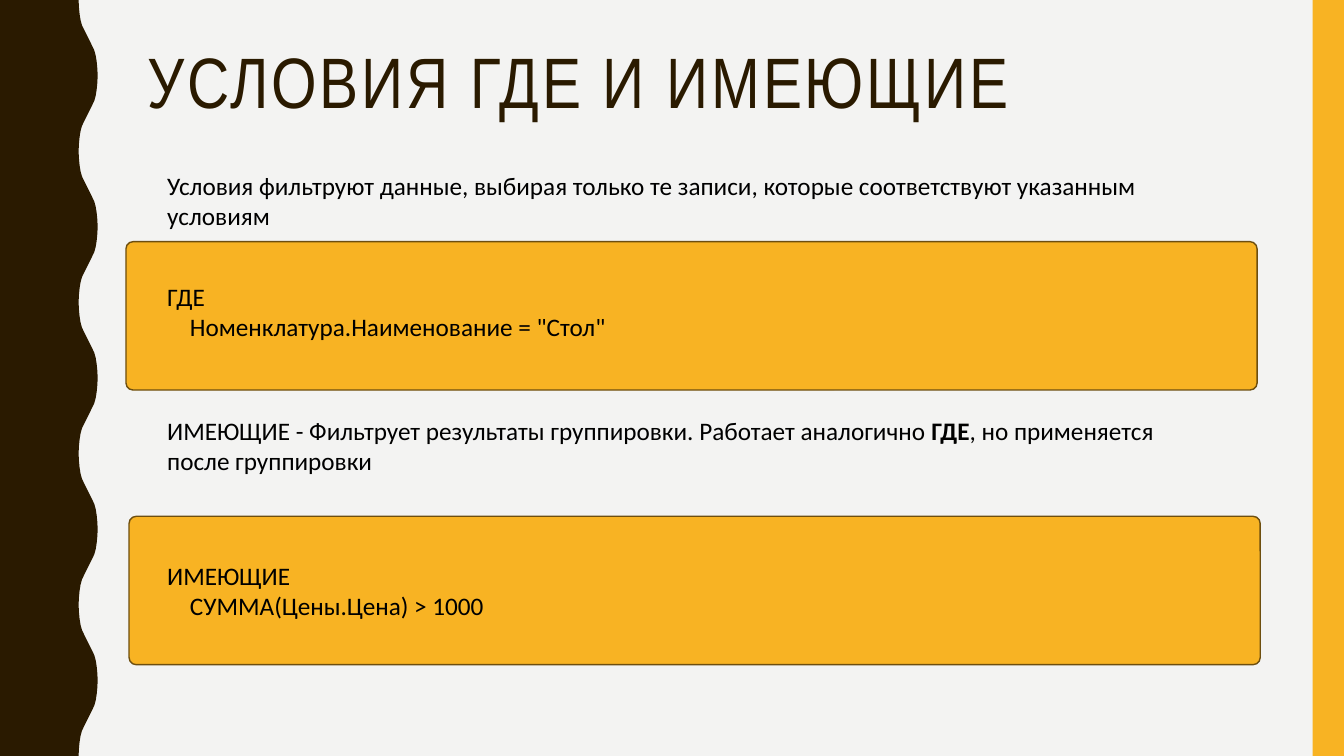
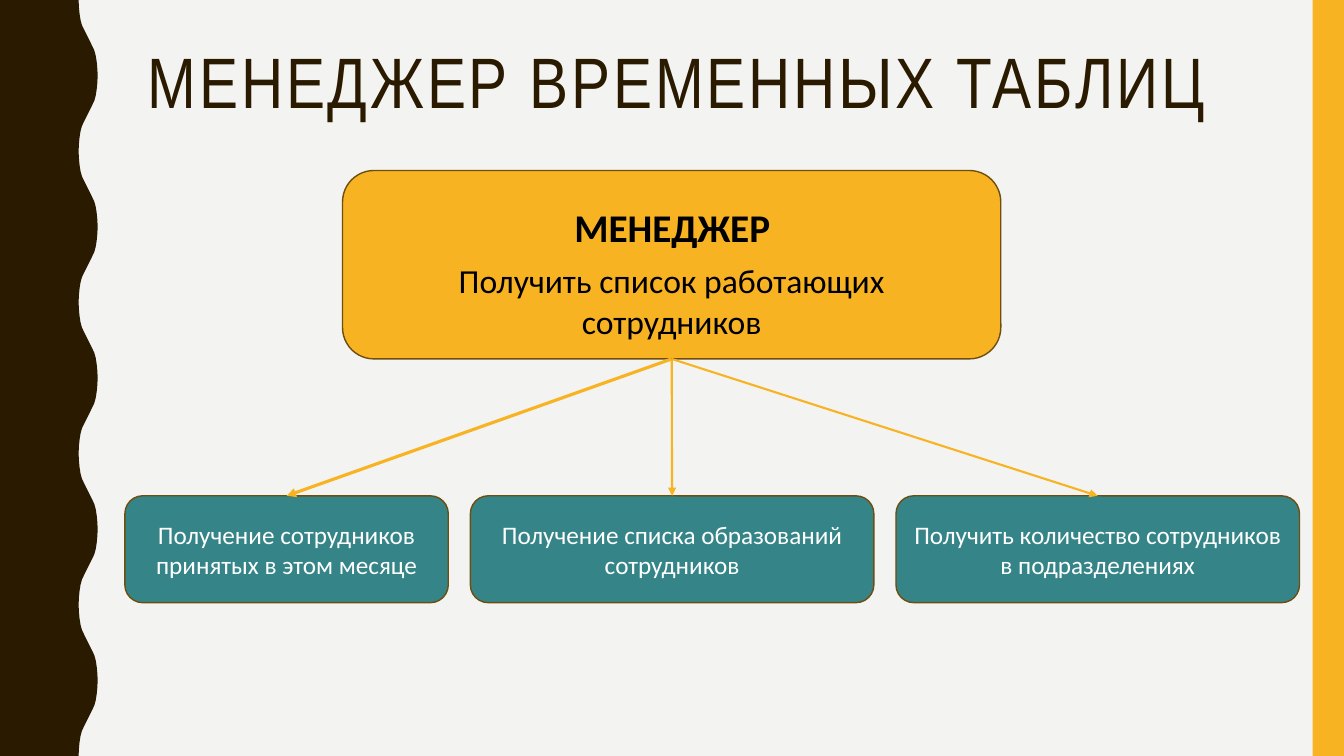
from pptx import Presentation
from pptx.dml.color import RGBColor
from pptx.enum.shapes import MSO_CONNECTOR, MSO_SHAPE
from pptx.enum.text import MSO_ANCHOR, PP_ALIGN
from pptx.oxml.ns import qn
from pptx.util import Pt
from lxml.etree import SubElement

WIDE, HIGH = 960, 540
DARK, GOLD, TEAL, EDGE = "2A1A00", "F8B323", "358588", "6D4E0F"
PAPER, BLACK, WHITE = "F3F3F2", "000000", "FFFFFF"
LEFT, MID = PP_ALIGN.LEFT, PP_ALIGN.CENTER


def paint(fmt, color):
    """Give a fill a solid colour."""
    fmt.solid()
    fmt.fore_color.rgb = RGBColor.from_string(color)


def text(shape, lines, size=18, color=BLACK, font="Calibri", bold=False,
         align=LEFT, anchor=MSO_ANCHOR.TOP, indent=0, space=0, lead=None):
    """Write lines; words between asterisks are bold, later lines indented."""
    frame = shape.text_frame
    frame.word_wrap = True
    frame.vertical_anchor = anchor
    for i, line in enumerate(lines):
        para = frame.add_paragraph() if i else frame.paragraphs[0]
        para.alignment = align
        if lead:
            para.line_spacing = lead
        if i and indent:
            para._p.get_or_add_pPr().set("marL", str(Pt(indent)))
        for j, part in enumerate(line.split("*")):
            run = para.add_run()
            run.text = part
            run.font.size = Pt(size)
            run.font.name = font
            run.font.bold = bold or j % 2 == 1
            paint(run.font.fill, color)
            if space:
                run._r.get_or_add_rPr().set("spc", str(space * 100))


def label(slide, box, lines, **style):
    text(slide.shapes.add_textbox(*map(Pt, box)), lines, **style)


def panel(slide, box, fill, edge=EDGE, kind=MSO_SHAPE.ROUNDED_RECTANGLE,
          bend=None):
    shape = slide.shapes.add_shape(kind, *map(Pt, box))
    shape.shadow.inherit = False
    paint(shape.fill, fill)
    if edge:
        paint(shape.line.fill, edge)
        shape.line.width = Pt(1)
    else:
        shape.line.fill.background()
    if bend is not None:
        shape.adjustments[0] = bend
    return shape


def arrow(slide, start, end, width):
    """Join the bottom of one panel to the top of another."""
    line = slide.shapes.add_connector(MSO_CONNECTOR.STRAIGHT, 0, 0, 0, 0)
    line.begin_connect(start, 2)
    line.end_connect(end, 0)
    paint(line.line.fill, GOLD)
    line.line.width = Pt(width)
    SubElement(line.line._get_or_add_ln(), qn("a:tailEnd"), type="triangle")
    SubElement(line._element.spPr, qn("a:effectLst"))


def wave(slide, base, swing, count):
    """Dark left band whose right edge has equal waves."""
    step = HIGH / count
    half = step / 2
    curve = [(0, 0), (0.2, 5), (0.7, 10), (1.4, 14.4), (2.4, 18),
             (3.8, 21), (5.3, 24)]
    rise = curve + [(swing / 2, half / 2)]
    rise += [(swing - x, half - y) for x, y in reversed(curve)]
    full = rise + [(x, step - y) for x, y in reversed(rise[:-1])]
    points = [(base + x, i * step + y) for i in range(count) for x, y in full]
    path = slide.shapes.build_freeform(0, 0, scale=1.0)
    path.add_line_segments([(Pt(x), Pt(y)) for x, y in points + [(0, HIGH)]])
    band = path.convert_to_shape()
    band.shadow.inherit = False
    paint(band.fill, DARK)
    band.line.fill.background()


def page(deck, title):
    """Add a slide with the shared bands and title."""
    slide = deck.slides.add_slide(deck.slide_layouts[6])
    wave(slide, 56.2, 13.6, 5)
    panel(slide, (937.6, 0, WIDE - 937.6, HIGH), GOLD, edge=None,
          kind=MSO_SHAPE.RECTANGLE)
    label(slide, (98.6, 30.2, 801.4, 117.4), [title], size=51, color=DARK,
          font="Arial Narrow", space=2, lead=0.9)
    return slide


def rule(slide, box, note, code, pad, rise, drop):
    """Code panel with its note above."""
    x, y, w, h = box
    panel(slide, box, GOLD, bend=0.048)
    label(slide, (x + pad, y - rise, 757.4, 51), [note])
    label(slide, (x + pad, y + drop, 757.4, 51), code, indent=16.3)


def tree(slide, box, tasks):
    """Manager panel on top, a row of tasks below."""
    x, y, w, h = box
    boss = panel(slide, (x + 155.5, y, 470.2, 134.6), GOLD)
    label(slide, (x + 288, y + 20.2, 206, 41), ["МЕНЕДЖЕР"], size=28,
          bold=True, align=MID)
    label(slide, (x + 178.6, y + 60.5, 424, 65.5),
          ["Получить список работающих сотрудников"], size=24, align=MID)
    tall, gap = 76.3, 15.8
    for words, wide, line in tasks:
        task = panel(slide, (x, y + h - tall, wide, tall), TEAL)
        text(task, [words], color=WHITE, align=MID, anchor=MSO_ANCHOR.MIDDLE)
        arrow(slide, boss, task, line)
        x += wide + gap


def main():
    deck = Presentation()
    deck.slide_width, deck.slide_height = Pt(WIDE), Pt(HIGH)
    paint(deck.slide_master.background.fill, PAPER)

    # Conditions
    slide = page(deck, "УСЛОВИЯ ГДЕ И ИМЕЮЩИЕ")
    rule(slide, (90, 172.6, 808, 106),
         "Условия фильтруют данные, выбирая только те записи, "
         "которые соответствуют указанным условиям",
         ["ГДЕ", 'Номенклатура.Наименование = "Стол"'],
         pad=22.3, rise=54.5, drop=24.7)
    rule(slide, (92.2, 368.8, 808, 106),
         "ИМЕЮЩИЕ - Фильтрует результаты группировки. Работает аналогично "
         "*ГДЕ*, но применяется после группировки",
         ["ИМЕЮЩИЕ", "СУММА(Цены.Цена) > 1000"],
         pad=20.1, rise=75.8, drop=28)

    # Manager
    slide = page(deck, "МЕНЕДЖЕР ВРЕМЕННЫХ ТАБЛИЦ")
    tree(slide, (89.2, 121.8, 839, 308.7), [
        ("Получение сотрудников принятых в этом месяце", 231, 2.25),
        ("Получение списка образований сотрудников", 288.2, 1.5),
        ("Получить количество сотрудников в подразделениях", 288.2, 1.5)])

    deck.save("out.pptx")


if __name__ == "__main__":
    main()
